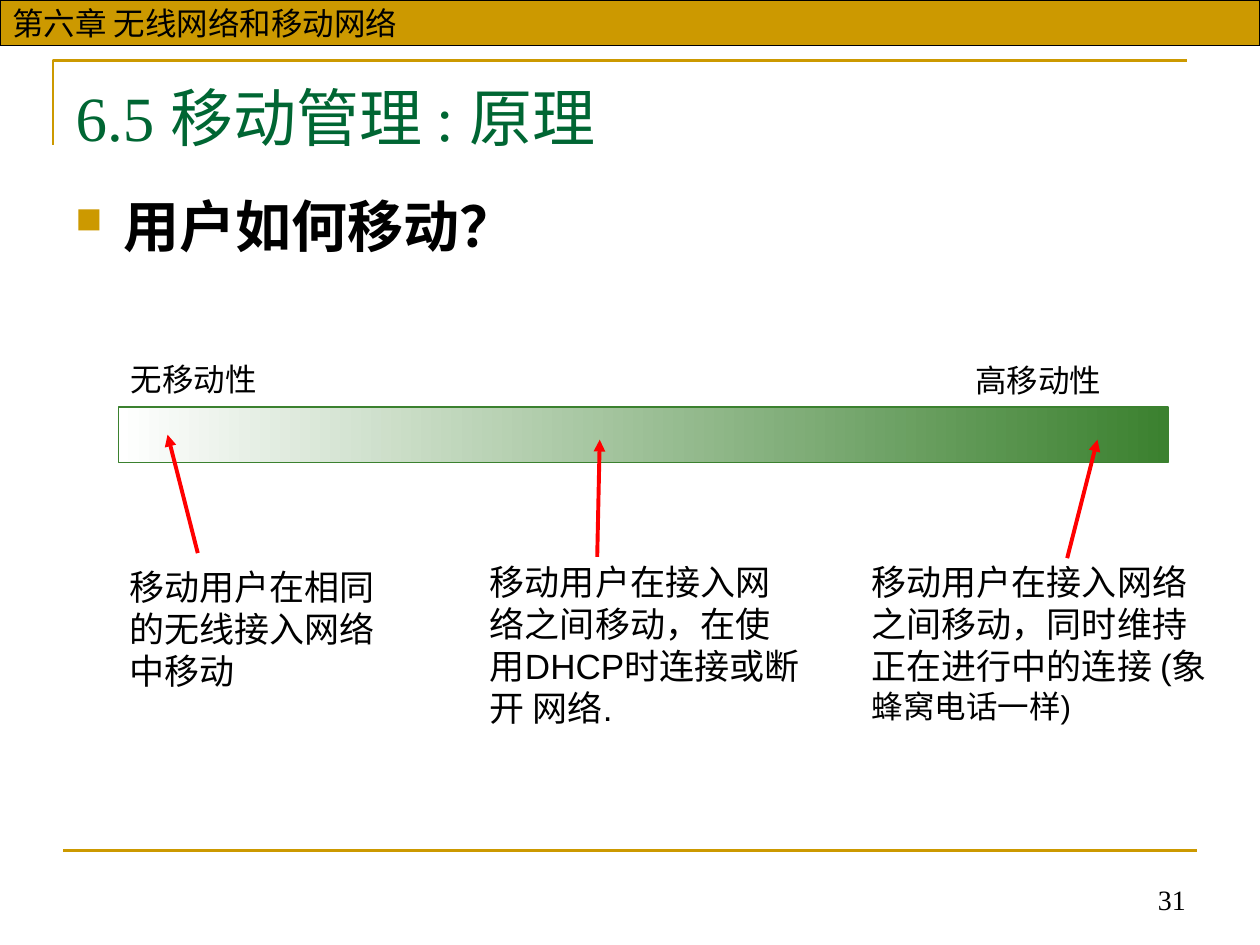
"""Build the slide on mobility management: how users move."""
import pptx
import pptx.dml.color
import pptx.enum.dml
import pptx.enum.shapes
import pptx.enum.text
import pptx.oxml
import pptx.oxml.ns
import pptx.util

RGB = pptx.dml.color.RGBColor
GOLD = RGB(0xCC, 0x99, 0x00)
BLACK = RGB(0, 0, 0)
WHITE = RGB(0xFF, 0xFF, 0xFF)
TITLE_GREEN = RGB(0x00, 0x66, 0x33)
BAR_GREEN = RGB(0x3B, 0x81, 0x2F)
RED = RGB(0xFF, 0, 0)
ANCHOR = pptx.enum.text.MSO_ANCHOR
ALIGN = pptx.enum.text.PP_ALIGN
SHAPE = pptx.enum.shapes.MSO_SHAPE
STRAIGHT = pptx.enum.shapes.MSO_CONNECTOR.STRAIGHT

prs = pptx.Presentation()
prs.slide_width = pptx.util.Inches(10)
prs.slide_height = pptx.util.Inches(7.5)
COL = prs.slide_width / 100
ROW = prs.slide_height / 75
s = prs.slides.add_slide(prs.slide_layouts[5])


def grid(x, y, *size):
    """Turn columns and rows into slide lengths."""
    return [round(v * unit) for v, unit in zip((x, y, *size), (COL, ROW, COL, ROW))]


def write(sp, runs, align=ALIGN.LEFT, **frame):
    """Write runs of (text, font values) into one paragraph of a shape."""
    tf = sp.text_frame
    for name, value in {"word_wrap": True, "auto_size": pptx.enum.text.MSO_AUTO_SIZE.NONE,
                        "vertical_anchor": ANCHOR.TOP, **frame}.items():
        setattr(tf, name, value)
    p = tf.paragraphs[0]
    p.alignment = align
    for text, values in runs:
        r = p.add_run()
        r.text = text
        for name, value in {"name": "Arial", "color": BLACK, **values}.items():
            if name == "color":
                r.font.color.rgb = value
            else:
                setattr(r.font, name, pptx.util.Pt(value) if name == "size" else value)
    return p


fb = s.shapes.build_freeform(*grid(4.2, 11.5))
fb.add_line_segments([grid(4.2, 4.8), grid(94.2, 4.8)], close=False)
sp = fb.convert_to_shape()
sp.shadow.inherit = False
sp.fill.background()
sp.line.color.rgb = GOLD
sp.line.width = pptx.util.Pt(1.5)

header = s.shapes.add_shape(SHAPE.RECTANGLE, *grid(0, 0, 100, 3.6))
header.fill.solid()
header.fill.fore_color.rgb = GOLD
bar = s.shapes.add_shape(SHAPE.RECTANGLE, *grid(9.4, 32.3, 83.3, 4.4))
bar.fill.gradient()
bar.fill.gradient_angle = 0
for stop, color in zip(bar.fill.gradient_stops, (WHITE, BAR_GREEN)):
    stop.color.rgb = color
for sp, color in ((header, BLACK), (bar, BAR_GREEN)):
    sp.shadow.inherit = False
    sp.line.color.rgb = color
    sp.line.width = pptx.util.Pt(0.75)
write(header, [("第六章 无线网络和移动网络", {"size": 18})], vertical_anchor=ANCHOR.MIDDLE)

title = s.shapes.title
title.left, title.top, title.width, title.height = grid(5, 5.4, 90, 7.7)
write(title, [("6.5 移动管理 : 原理", {"size": 36, "name": "Times New Roman", "color": TITLE_GREEN})],
      vertical_anchor=ANCHOR.MIDDLE)

sp = s.shapes.add_textbox(*grid(5, 14.7, 90, 10))
pPr = sp.text_frame.paragraphs[0]._p.get_or_add_pPr()
pPr.set("marL", str(pptx.util.Inches(0.38)))
pPr.set("indent", str(-pptx.util.Inches(0.38)))
for xml in (f'<a:buClr %s><a:srgbClr val="{GOLD}"/></a:buClr>',
            '<a:buSzPct %s val="65000"/>', '<a:buChar %s char="■"/>'):
    pPr.append(pptx.oxml.parse_xml(xml % pptx.oxml.ns.nsdecls("a")))
write(sp, [("用户如何移动？", {"size": 32, "name": "Noto Sans CJK SC", "bold": True})])

for x, y, text in ((9.4, 28.1, "无移动性"), (76.4, 28.2, "高移动性")):
    write(s.shapes.add_textbox(*grid(x, y, 12, 4)), [(text, {"size": 18})], word_wrap=False)

stages = (
    ((9.3, 44.4, 22.7, 11), [("移动用户在相同的无线接入网络中移动", {"size": 20})]),
    ((37.9, 44, 26.6, 14.4), [("移动用户在接入网络之间移动，在使用DHCP时连接或断开 网络.", {"size": 20})]),
    ((68.2, 44, 29.4, 14.4), [("移动用户在接入网络之间移动，同时维持正在进行中的连接 (象", {"size": 20}),
                              ("蜂窝电话一样)", {"size": 18})]),
)
for place, runs in stages:
    write(s.shapes.add_textbox(*grid(*place)), runs)

number = s.shapes.add_textbox(*grid(63.4, 68.2, 31.7, 5))
write(number, [("31", {"size": 16, "name": "Times New Roman"})], ALIGN.RIGHT,
      vertical_anchor=ANCHOR.BOTTOM)

lines = (
    ((5, 67.5), (95, 67.5), GOLD, 1.5, False),
    ((15.7, 43.9), (13.3, 34.5), RED, 2.25, True),
    ((47.4, 44.2), (47.6, 34.9), RED, 2.25, True),
    ((84.7, 44.3), (87.1, 34.9), RED, 2.25, True),
)
for start, end, color, width, arrow in lines:
    line = s.shapes.add_connector(STRAIGHT, *grid(*start), *grid(*end))
    line.line.color.rgb = color
    line.line.width = pptx.util.Pt(width)
    if arrow:
        line.line._get_or_add_ln().append(pptx.oxml.parse_xml(
            '<a:tailEnd %s type="triangle"/>' % pptx.oxml.ns.nsdecls("a")))
    line._element.spPr.append(pptx.oxml.parse_xml("<a:effectLst %s/>" % pptx.oxml.ns.nsdecls("a")))

prs.save("out.pptx")
